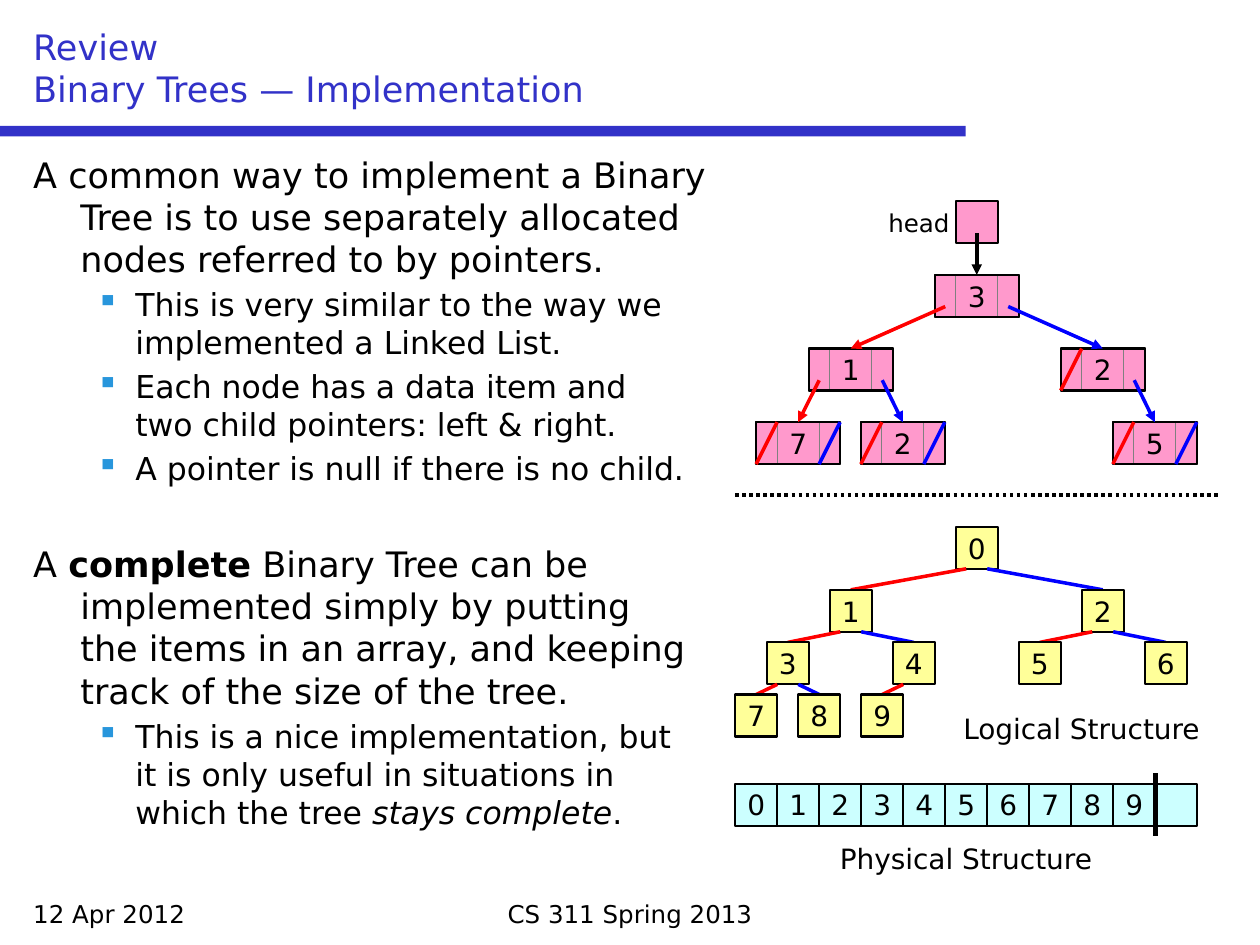
import pptx
import pptx.util
import pptx.dml.color
import pptx.enum.dml
import pptx.enum.shapes
import pptx.enum.text
import pptx.oxml.ns
from lxml import etree

Cm = pptx.util.Cm
Pt = pptx.util.Pt
RGBColor = pptx.dml.color.RGBColor
ALIGN = pptx.enum.text.PP_ALIGN
ANCHOR = pptx.enum.text.MSO_ANCHOR

FONT = "DejaVu Sans"
BLACK = RGBColor(0, 0, 0)
GRAY = RGBColor(0x80, 0x80, 0x80)
TITLE_BLUE = RGBColor(0x32, 0x32, 0xC8)
BULLET_BLUE = RGBColor(0x28, 0x96, 0xDC)
PINK = RGBColor(0xFF, 0x99, 0xCC)
YELLOW = RGBColor(0xFF, 0xFF, 0x99)
CYAN = RGBColor(0xCC, 0xFF, 0xFF)
RED = RGBColor(0xFF, 0, 0)
BLUE = RGBColor(0, 0, 0xFF)

# Content: each paragraph is (level, space before in points, runs of (text, style))
TITLE = "Review\nBinary Trees — Implementation"
BODY = [
    (0, 0, [("A common way to implement a Binary Tree is to use separately "
             "allocated nodes referred to by pointers.", "")]),
    (1, 3.6, [("This is very similar to the way we implemented a Linked List.", "")]),
    (1, 3.6, [("Each node has a data item and\ntwo child pointers: left & right.", "")]),
    (1, 3.6, [("A pointer is null if there is no child.", "")]),
    (0, 32, [("A ", ""), ("complete", "bold"),
             (" Binary Tree can be implemented simply by putting\nthe items in an array, "
              "and keeping track of the size of the tree.", "")]),
    (1, 3.6, [("This is a nice implementation, but\nit is only useful in situations in\n"
               "which the tree ", ""), ("stays complete", "italic"), (".", "")]),
]
# Text, left, top, width, height (cm), size
LABELS = [
    ("12 Apr 2012", 0.42, 17.99, 5.93, 0.85, 14, ALIGN.LEFT),
    ("CS 311 Spring 2013", 6.56, 17.99, 12.28, 0.85, 14, ALIGN.CENTER),
    ("head", 17.57, 4.06, 1.91, 0.86, 14, ALIGN.CENTER),
    ("Logical Structure", 18.84, 14.22, 5.93, 0.94, 16, ALIGN.CENTER),
    ("Physical Structure", 16.51, 16.84, 5.93, 0.94, 16, ALIGN.CENTER),
]
# Linked nodes: value, level, centre (cm), left child, right child
NODES = [
    ("3", 0, 19.69, 1, 2),
    ("1", 1, 17.15, 3, 4),
    ("2", 1, 22.23, None, 5),
    ("7", 2, 16.09, None, None),
    ("2", 2, 18.2, None, None),
    ("5", 2, 23.28, None, None),
]
ITEM_COUNT = 10

# Geometry in cm
CELL = 2.54 / 3
ROOT_X = 19.69
HEAD_TOP, NODE_TOP, NODE_STEP = 4.06, 5.54, 1.485
POINTER_DROP = 0.64
HEAP_TOPS = [10.62, 11.89, 12.95, 14.0]
ARRAY_LEFT, ARRAY_TOP = 14.82, 15.8

presentation = pptx.Presentation()
presentation.slide_width, presentation.slide_height = Cm(25.4), Cm(19.05)
slide = presentation.slides.add_slide(presentation.slide_layouts[6])


def set_font(paragraph, size, color=BLACK):
    paragraph.font.name = FONT
    paragraph.font.size = Pt(size)
    paragraph.font.color.rgb = color


def add_text(left, top, width, height):
    shape = slide.shapes.add_textbox(Cm(left), Cm(top), Cm(width), Cm(height))
    shape.text_frame.word_wrap = True
    return shape.text_frame


def add_box(left, top, width, height=CELL, fill=None, line=BLACK, weight=1.25, text=""):
    shape = slide.shapes.add_shape(pptx.enum.shapes.MSO_SHAPE.RECTANGLE,
                                   Cm(left), Cm(top), Cm(width), Cm(height))
    shape.shadow.inherit = False
    if fill is None:
        shape.fill.background()
    else:
        shape.fill.solid()
        shape.fill.fore_color.rgb = fill
    if line is None:
        shape.line.fill.background()
    else:
        shape.line.color.rgb = line
        shape.line.width = Pt(weight)
    if text:
        frame = shape.text_frame
        frame.word_wrap = False
        frame.vertical_anchor = ANCHOR.MIDDLE
        paragraph = frame.paragraphs[0]
        paragraph.text = text
        paragraph.alignment = ALIGN.CENTER
        set_font(paragraph, 16)


def add_line(x1, y1, x2, y2, color=BLACK, weight=2, arrow=False):
    line = slide.shapes.add_connector(pptx.enum.shapes.MSO_CONNECTOR.STRAIGHT,
                                      Cm(x1), Cm(y1), Cm(x2), Cm(y2))
    line.line.color.rgb = color
    line.line.width = Pt(weight)
    if arrow:
        etree.SubElement(line.line._get_or_add_ln(), pptx.oxml.ns.qn("a:tailEnd"),
                         type="triangle")
    etree.SubElement(line._element.spPr, pptx.oxml.ns.qn("a:effectLst"))
    return line


def add_bullet(paragraph):
    properties = paragraph._p.get_or_add_pPr()
    color = etree.SubElement(properties, pptx.oxml.ns.qn("a:buClr"))
    etree.SubElement(color, pptx.oxml.ns.qn("a:srgbClr"), val=str(BULLET_BLUE))
    etree.SubElement(properties, pptx.oxml.ns.qn("a:buChar"), char="▪")


# Title and rule
add_box(0, 2.54, 19.47, 0.21, fill=TITLE_BLUE, line=None)
frame = add_text(0.42, 0.42, 24.55, 1.91)
frame.vertical_anchor = ANCHOR.BOTTOM
frame.paragraphs[0].text = TITLE
set_font(frame.paragraphs[0], 20, TITLE_BLUE)

# Body text
frame = add_text(0.42, 2.96, 15.45, 14.82)
for index, (level, space, runs) in enumerate(BODY):
    paragraph = frame.add_paragraph() if index else frame.paragraphs[0]
    paragraph.level = level
    margin, indent = [(0.95, -0.95), (2.06, -0.79)][level]
    properties = paragraph._p.get_or_add_pPr()
    properties.set("marL", str(Cm(margin)))
    properties.set("indent", str(Cm(indent)))
    if space:
        paragraph.space_before = Pt(space)
    if level:
        add_bullet(paragraph)
    set_font(paragraph, [20, 18][level])
    for text, style in runs:
        for number, part in enumerate(text.split("\n")):
            if number:
                paragraph.add_line_break()
            run = paragraph.add_run()
            run.text = part
            if style:
                setattr(run.font, style, True)

# Labels and footer
for text, left, top, width, height, size, alignment in LABELS:
    paragraph = add_text(left, top, width, height).paragraphs[0]
    paragraph.text = text
    paragraph.alignment = alignment
    set_font(paragraph, size)

# Linked tree: boxes, then frames, then pointers
tops = [NODE_TOP + level * NODE_STEP for _, level, *_ in NODES]
for (value, _, center, *_), top in zip(NODES, tops):
    add_box(center - CELL, top, 2 * CELL, fill=PINK)
    add_box(center - CELL / 2, top, CELL, line=GRAY, weight=0.75, text=value)
    add_box(center - CELL, top, 2 * CELL)
for (_, _, center, *children), top in zip(NODES, tops):
    for side, color, child in zip((-1, 1), (RED, BLUE), children):
        x = center + side * 0.75 * CELL
        if child is None:
            add_line(x - CELL / 4, top + CELL, x + CELL / 4, top, color)
        else:
            add_line(x, top + POINTER_DROP, NODES[child][2], tops[child], color, arrow=True)
add_box(ROOT_X - CELL / 2, HEAD_TOP, CELL, fill=PINK)
add_line(ROOT_X, HEAD_TOP + POINTER_DROP, ROOT_X, NODE_TOP, arrow=True)

# Divider
divider = add_line(14.82, 9.98, 24.55, 9.98)
divider.line.dash_style = pptx.enum.dml.MSO_LINE.ROUND_DOT

# Complete tree: the parent of item i is item (i - 1) // 2
centers = [ROOT_X]
for item in range(ITEM_COUNT):
    level = (item + 1).bit_length() - 1
    if item:
        parent = (item - 1) // 2
        side, color = (-1, RED) if item % 2 else (1, BLUE)
        centers.append(centers[parent] + side * 5.08 / 2 ** level)
        add_line(centers[parent] + side * CELL / 4, HEAP_TOPS[level - 1] + CELL,
                 centers[item], HEAP_TOPS[level], color)
    add_box(centers[item] - CELL / 2, HEAP_TOPS[level], CELL, fill=YELLOW, text=str(item))

# Array with one spare cell and an end mark
for item in range(ITEM_COUNT + 1):
    add_box(ARRAY_LEFT + item * CELL, ARRAY_TOP, CELL, fill=CYAN,
            text=str(item) if item < ITEM_COUNT else "")
end_x = ARRAY_LEFT + ITEM_COUNT * CELL
add_line(end_x, ARRAY_TOP - 0.21, end_x, ARRAY_TOP + 1.06, weight=3)

presentation.save("out.pptx")
